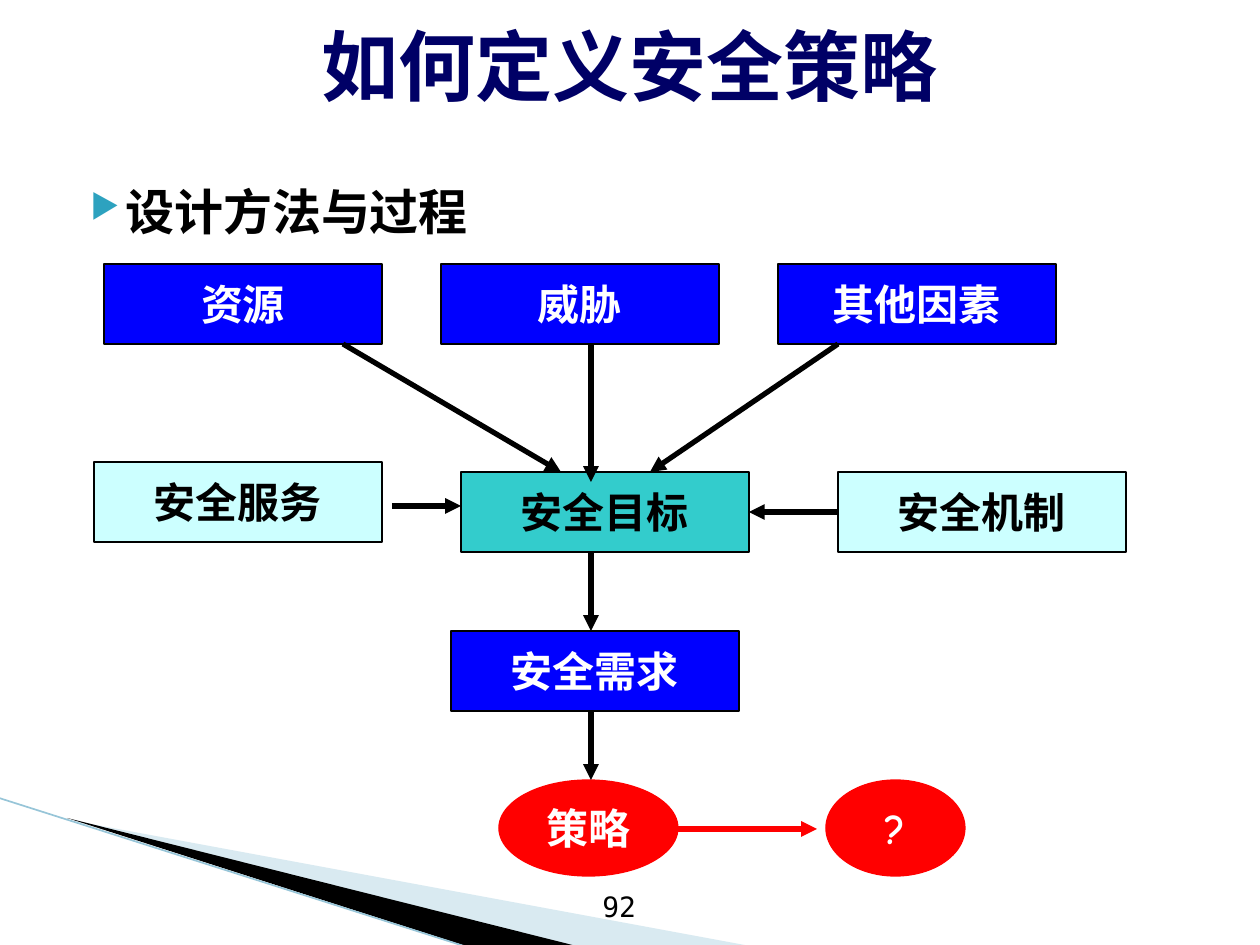
from lxml import etree
from pptx import Presentation
from pptx.dml.color import RGBColor
from pptx.enum.shapes import MSO_CONNECTOR, MSO_SHAPE
from pptx.enum.text import MSO_ANCHOR, PP_ALIGN
from pptx.oxml.ns import qn
from pptx.util import Pt

PX = 914400 / 126
RECT, OVAL = MSO_SHAPE.RECTANGLE, MSO_SHAPE.OVAL
STRAIGHT = MSO_CONNECTOR.STRAIGHT
CENTER, MIDDLE = PP_ALIGN.CENTER, MSO_ANCHOR.MIDDLE
LEFT_SIDE, RIGHT_SIDE = 1, 3
MONO, COMIC = "DejaVu Sans Mono", "Comic Neue"
COLORS = {
    "black": "000000", "white": "FFFFFF", "navy": "000066", "blue": "0000FF",
    "teal": "33CCCC", "pale": "CCFFFF", "red": "FF0000",
    "wedge": "A0CBDC", "edge": "97C5D8", "bullet": "2DA2BF",
}


def px(*values):
    return [round(v * PX) for v in values]


def rgb(name):
    return RGBColor.from_string(COLORS[name])


def add_child(parent, tag, **attrs):
    return etree.SubElement(parent, qn(tag), attrs)


def style_text(p, font, size, color, bold=False):
    for r in p.runs:
        r.font.name = font
        r.font.size = Pt(size)
        r.font.bold = bold
        r.font.color.rgb = rgb(color)


def add_title(s, text, box):
    title = s.shapes.title
    title.left, title.top, title.width, title.height = px(*box)
    tf = title.text_frame
    tf.text = text
    tf.vertical_anchor = MIDDLE
    tf.paragraphs[0].alignment = CENTER
    style_text(tf.paragraphs[0], MONO, 44, "navy", True)


def add_text(s, text, box, size, bold=False):
    tf = s.shapes.add_textbox(*px(*box)).text_frame
    tf.word_wrap = True
    tf.text = text
    p = tf.paragraphs[0]
    style_text(p, MONO, size, "black", bold)
    return p


def add_bullet(p, char, margin, indent):
    pPr = p._p.get_or_add_pPr()
    pPr.set("marL", str(px(margin)[0]))
    pPr.set("indent", str(px(indent)[0]))
    color = add_child(pPr, "a:buClr")
    add_child(color, "a:srgbClr", val=COLORS["bullet"])
    add_child(pPr, "a:buSzPct", val="68000")
    add_child(pPr, "a:buChar", char=char)


def add_node(s, kind, text, box, fill, color="white", line="black"):
    sp = s.shapes.add_shape(kind, *px(*box))
    sp.shadow.inherit = False
    sp.fill.solid()
    sp.fill.fore_color.rgb = rgb(fill)
    sp.line.color.rgb = rgb(line)
    sp.line.width = Pt(0.75)
    tf = sp.text_frame
    tf.word_wrap = False
    tf.vertical_anchor = MIDDLE
    tf.text = text
    tf.paragraphs[0].alignment = CENTER
    style_text(tf.paragraphs[0], COMIC, 24, color, True)
    return sp


def add_line(s, ends, color, width):
    line = s.shapes.add_connector(STRAIGHT, *px(*ends))
    line.line.color.rgb = rgb(color)
    line.line.width = Pt(width)
    add_child(line._element.spPr, "a:effectLst")
    return line


def add_arrow(s, ends, color="black"):
    arrow = add_line(s, ends, color, 3)
    add_child(arrow.line._get_or_add_ln(), "a:tailEnd", type="triangle")
    return arrow


def add_wedge(s, points, color, opacity=100):
    builder = s.shapes.build_freeform(*points[0], scale=PX)
    builder.add_line_segments(points[1:], close=True)
    sp = builder.convert_to_shape()
    sp.shadow.inherit = False
    sp.fill.solid()
    sp.fill.fore_color.rgb = rgb(color)
    sp.line.fill.background()
    if opacity < 100:
        fill = sp._element.spPr.find(qn("a:solidFill"))
        add_child(fill[0], "a:alpha", val=str(opacity * 1000))


def add_corner(s):
    add_wedge(s, [(69, 820), (750, 946), (575, 946)], "wedge", 40)
    add_wedge(s, [(67, 818), (576, 946), (469, 947)], "black")
    add_line(s, (-1, 798, 467, 947), "edge", 0.95)


def add_flow(s):
    for i, cause in enumerate(("资源", "威胁", "其他因素")):
        add_node(s, RECT, cause, (104 + 337 * i, 264, 278, 80), "blue")
    goal = add_node(s, RECT, "安全目标", (461, 472, 288, 80), "teal", "black")
    add_node(s, RECT, "安全需求", (451, 631, 288, 80), "blue")
    add_node(s, RECT, "安全服务", (94, 462, 288, 80), "pale", "black")
    mechanism = add_node(s, RECT, "安全机制", (838, 472, 288, 80), "pale", "black")
    add_node(s, OVAL, "策略", (499, 780, 179, 96), "red", line="red")
    add_node(s, OVAL, "?", (826, 780, 139, 96), "red", line="red")

    for ends in (
        (343, 344, 561, 472), (838, 344, 650, 472), (591, 344, 591, 482),
        (392, 506, 461, 506), (591, 552, 591, 631), (591, 711, 591, 780),
    ):
        add_arrow(s, ends)
    add_arrow(s, (639, 829, 817, 829), "red")
    link = add_arrow(s, (838, 512, 749, 512))
    link.begin_connect(mechanism, LEFT_SIDE)
    link.end_connect(goal, RIGHT_SIDE)


def main():
    prs = Presentation()
    prs.slide_width, prs.slide_height = px(1260, 945)
    s = prs.slides.add_slide(prs.slide_layouts[5])
    add_corner(s)
    add_title(s, "如何定义安全策略", (25, 6, 1210, 118))
    heading = add_text(s, "设计方法与过程", (63, 175, 1134, 70), 28, True)
    add_bullet(heading, "▶", 50, -35)
    add_flow(s)
    add_text(s, "92", (590, 883, 110, 62), 16)
    prs.save("out.pptx")


if __name__ == "__main__":
    main()
